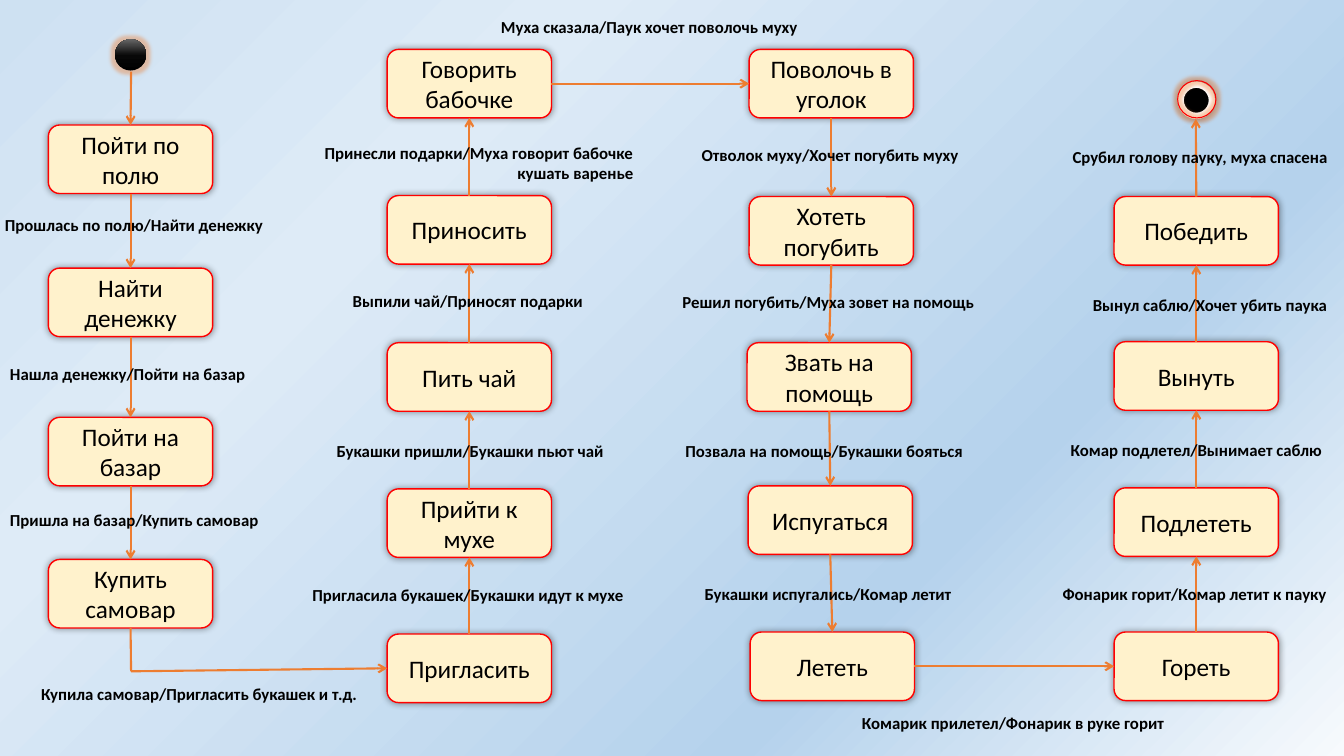
import itertools
from typing import NamedTuple, Optional

import pptx
import pptx.dml.color
import pptx.enum.shapes
import pptx.enum.text
import pptx.oxml
import pptx.oxml.ns
import pptx.util
from pptx.util import Inches

BOX_WIDTH, BOX_HEIGHT = 1.63, 0.68
TOP, LEFT, BOTTOM, RIGHT = 0, 1, 2, 3
ORANGE, RED, BLACK, WHITE, CREAM = "ED7D31", "FF0000", "000000", "FFFFFF", "FFF2CC"
SHAPES = pptx.enum.shapes.MSO_SHAPE
ALIGN = pptx.enum.text.PP_ALIGN


class State(NamedTuple):
    left: float
    top: float
    text: str


class Label(NamedTuple):
    left: float
    top: float
    width: float
    text: str


# Each column lists its states in the order in which the story passes them.
WALK = [
    State(0.48, 1.24, "Пойти по полю"),
    State(0.48, 2.66, "Найти денежку"),
    State(0.48, 4.14, "Пойти на базар"),
    State(0.48, 5.55, "Купить самовар"),
]
PARTY = [
    State(3.84, 6.29, "Пригласить"),
    State(3.84, 4.85, "Прийти к мухе"),
    State(3.84, 3.4, "Пить чай"),
    State(3.84, 1.94, "Приносить"),
    State(3.84, 0.49, "Говорить бабочке"),
]
DANGER = [
    State(7.43, 0.49, "Поволочь в уголок"),
    State(7.43, 1.95, "Хотеть погубить"),
    State(7.41, 3.4, "Звать на помощь"),
    State(7.42, 4.82, "Испугаться"),
    State(7.44, 6.27, "Лететь"),
]
RESCUE = [
    State(11.05, 6.27, "Гореть"),
    State(11.05, 4.84, "Подлететь"),
    State(11.05, 3.39, "Вынуть"),
    State(11.05, 1.95, "Победить"),
]
LABELS = [
    Label(-0.05, 2.08, 2.78, "Прошлась по полю/Найти денежку"),
    Label(0, 3.56, 2.55, "Нашла денежку/Пойти на базар"),
    Label(0, 5.01, 2.69, "Пришла на базар/Купить самовар"),
    Label(0.31, 6.73, 3.36, "Купила самовар/Пригласить букашек и т.д."),
    Label(3, 5.75, 3.3, "Пригласила букашек/Букашки идут к мухе"),
    Label(3.24, 4.32, 2.86, "Букашки пришли/Букашки пьют чай"),
    Label(3.4, 2.84, 2.5, "Выпили чай/Приносят подарки"),
    Label(3.12, 1.37, 3.32, "Принесли подарки/Муха говорит бабочке\nкушать варенье"),
    Label(4.87, 0.12, 3.16, "Муха сказала/Паук хочет поволочь муху"),
    Label(6.86, 1.39, 2.77, "Отволок муху/Хочет погубить муху"),
    Label(6.67, 2.85, 3.12, "Решил погубить/Муха зовет на помощь"),
    Label(6.7, 4.32, 2.97, "Позвала на помощь/Букашки бояться"),
    Label(6.89, 5.74, 2.66, "Букашки испугались/Комар летит"),
    Label(8.45, 7.02, 3.22, "Комарик прилетел/Фонарик в руке горит"),
    Label(10.44, 5.74, 2.84, "Фонарик горит/Комар летит к пауку"),
    Label(10.52, 4.31, 2.71, "Комар подлетел/Вынимает саблю"),
    Label(10.74, 2.87, 2.54, "Вынул саблю/Хочет убить паука"),
    Label(10.54, 1.41, 2.74, "Срубил голову пауку, муха спасена"),
]


def color(value: str) -> pptx.dml.color.RGBColor:
    return pptx.dml.color.RGBColor.from_string(value)


def element(xml: str):
    """Parse an XML fragment whose first tag is in the a: namespace."""
    tag, rest = xml[:xml.index(" ")], xml[xml.index(" "):]
    return pptx.oxml.parse_xml(f"{tag} {pptx.oxml.ns.nsdecls('a')}{rest}")


def set_gradient(fill, owner, stops: list[tuple[int, str]], angle: int) -> None:
    """Fill owner with the given stops; angle runs counter-clockwise."""
    fill.gradient()
    fill.gradient_angle = angle
    stop_list = owner.find(".//" + pptx.oxml.ns.qn("a:gsLst"))
    for old_stop in list(stop_list):
        stop_list.remove(old_stop)
    for percent, value in stops:
        stop_list.append(element(
            f'<a:gs pos="{percent * 1000}"><a:srgbClr val="{value}"/></a:gs>'))


def add_effect(shape, xml: str) -> None:
    effects = shape._element.spPr.find(pptx.oxml.ns.qn("a:effectLst"))
    effects.append(element(xml))


def add_shadow(shape) -> None:
    add_effect(shape, '<a:outerShdw blurRad="63500" dist="0"><a:srgbClr val="000000">'
                      '<a:alpha val="40000"/></a:srgbClr></a:outerShdw>')


def add_glow(shape) -> None:
    add_effect(shape, f'<a:glow rad="63500"><a:srgbClr val="{ORANGE}">'
                      '<a:alpha val="40000"/></a:srgbClr></a:glow>')


def add_outlined(slide, kind, left: float, top: float, width: float, height: float,
                 fill: Optional[str], line: Optional[str], weight: float = 1):
    shape = slide.shapes.add_shape(
        kind, Inches(left), Inches(top), Inches(width), Inches(height))
    shape.shadow.inherit = False
    if fill:
        shape.fill.solid()
        shape.fill.fore_color.rgb = color(fill)
    else:
        shape.fill.background()
    if line:
        shape.line.color.rgb = color(line)
        shape.line.width = pptx.util.Pt(weight)
    else:
        shape.line.fill.background()
    return shape


def set_font(paragraph, size: int, bold: bool = False) -> None:
    paragraph.font.name = "Calibri"
    paragraph.font.size = pptx.util.Pt(size)
    paragraph.font.bold = bold
    paragraph.font.color.rgb = color(BLACK)


def add_state(slide, state: State):
    box = add_outlined(slide, SHAPES.ROUNDED_RECTANGLE, state.left, state.top,
                       BOX_WIDTH, BOX_HEIGHT, CREAM, RED)
    add_shadow(box)
    box.text_frame.text = state.text
    box.text_frame.vertical_anchor = pptx.enum.text.MSO_ANCHOR.MIDDLE
    paragraph = box.text_frame.paragraphs[0]
    paragraph.alignment = ALIGN.CENTER
    set_font(paragraph, 18)
    return box


def add_line(slide, start: tuple[float, float] = (0, 0),
             end: tuple[float, float] = (0, 0), head: bool = True):
    line = slide.shapes.add_connector(
        pptx.enum.shapes.MSO_CONNECTOR.STRAIGHT, *map(Inches, start + end))
    line.line.color.rgb = color(ORANGE)
    line.line.width = pptx.util.Pt(1.5)
    properties = line._element.spPr
    if head:
        properties.find(pptx.oxml.ns.qn("a:ln")).append(
            element('<a:tailEnd type="arrow"/>'))
    properties.append(element("<a:effectLst />"))
    return line


def link(slide, source, source_site: int, target, target_site: int) -> None:
    """Draw an arrow glued to a connection site of each shape."""
    arrow = add_line(slide)
    arrow.begin_connect(source, source_site)
    arrow.end_connect(target, target_site)


def add_column(slide, states: list[State], sites: tuple[int, int]) -> list:
    boxes = [add_state(slide, state) for state in states]
    for source, target in itertools.pairwise(boxes):
        link(slide, source, sites[0], target, sites[1])
    return boxes


def add_label(slide, label: Label) -> None:
    lines = label.text.split("\n")
    frame = slide.shapes.add_textbox(
        Inches(label.left), Inches(label.top), Inches(label.width),
        Inches(0.1 + 0.2 * len(lines))).text_frame
    frame.word_wrap = False
    frame.auto_size = pptx.enum.text.MSO_AUTO_SIZE.SHAPE_TO_FIT_TEXT
    frame.text = label.text
    for index, paragraph in enumerate(frame.paragraphs):
        paragraph.alignment = ALIGN.RIGHT if index else ALIGN.LEFT
        set_font(paragraph, 12, bold=True)


def main() -> None:
    deck = pptx.Presentation()
    deck.slide_width, deck.slide_height = Inches(13.33), Inches(7.5)
    slide = deck.slides.add_slide(deck.slide_layouts[6])
    set_gradient(slide.background.fill, slide._element,
                 [(0, "F7FAFD"), (29, "B5D2EC"), (72, "DEEBF7"), (100, "CEE1F2")], 135)

    start = add_outlined(slide, SHAPES.OVAL, 1.14, 0.39, 0.31, 0.31, None, None)
    set_gradient(start.fill, start._element,
                 [(0, "000000"), (48, "080808"), (100, "666666")], 90)
    add_glow(start)
    finish = add_outlined(slide, SHAPES.OVAL, 11.71, 0.84, 0.31, 0.31, BLACK, WHITE, 4.5)
    add_shadow(finish)
    add_glow(add_outlined(slide, SHAPES.OVAL, 11.68, 0.8, 0.38, 0.37, None, RED, 0.75))

    down, up = (BOTTOM, TOP), (TOP, BOTTOM)
    walk = add_column(slide, WALK, down)
    party = add_column(slide, PARTY, up)
    danger = add_column(slide, DANGER, down)
    rescue = add_column(slide, RESCUE, up)

    add_line(slide, start=(1.3, 0.71)).end_connect(walk[0], TOP)
    corner = (1.3, 6.66)
    add_line(slide, end=corner, head=False).begin_connect(walk[-1], BOTTOM)
    add_line(slide, start=corner).end_connect(party[0], LEFT)
    link(slide, party[-1], RIGHT, danger[0], LEFT)
    link(slide, danger[-1], RIGHT, rescue[0], LEFT)
    add_line(slide, end=(11.86, 1.18)).begin_connect(rescue[-1], TOP)

    for label in LABELS:
        add_label(slide, label)
    deck.save("out.pptx")


if __name__ == "__main__":
    main()
